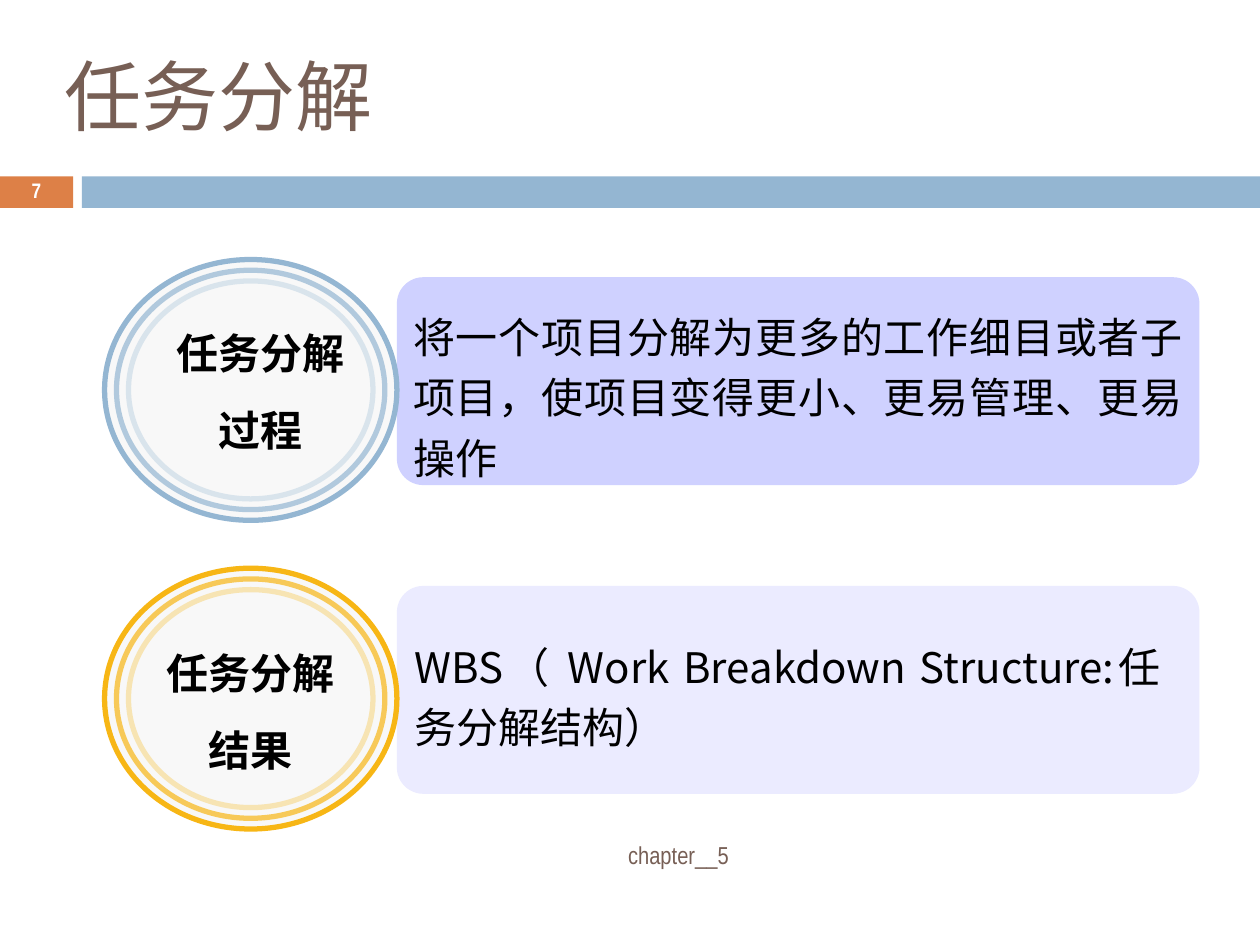
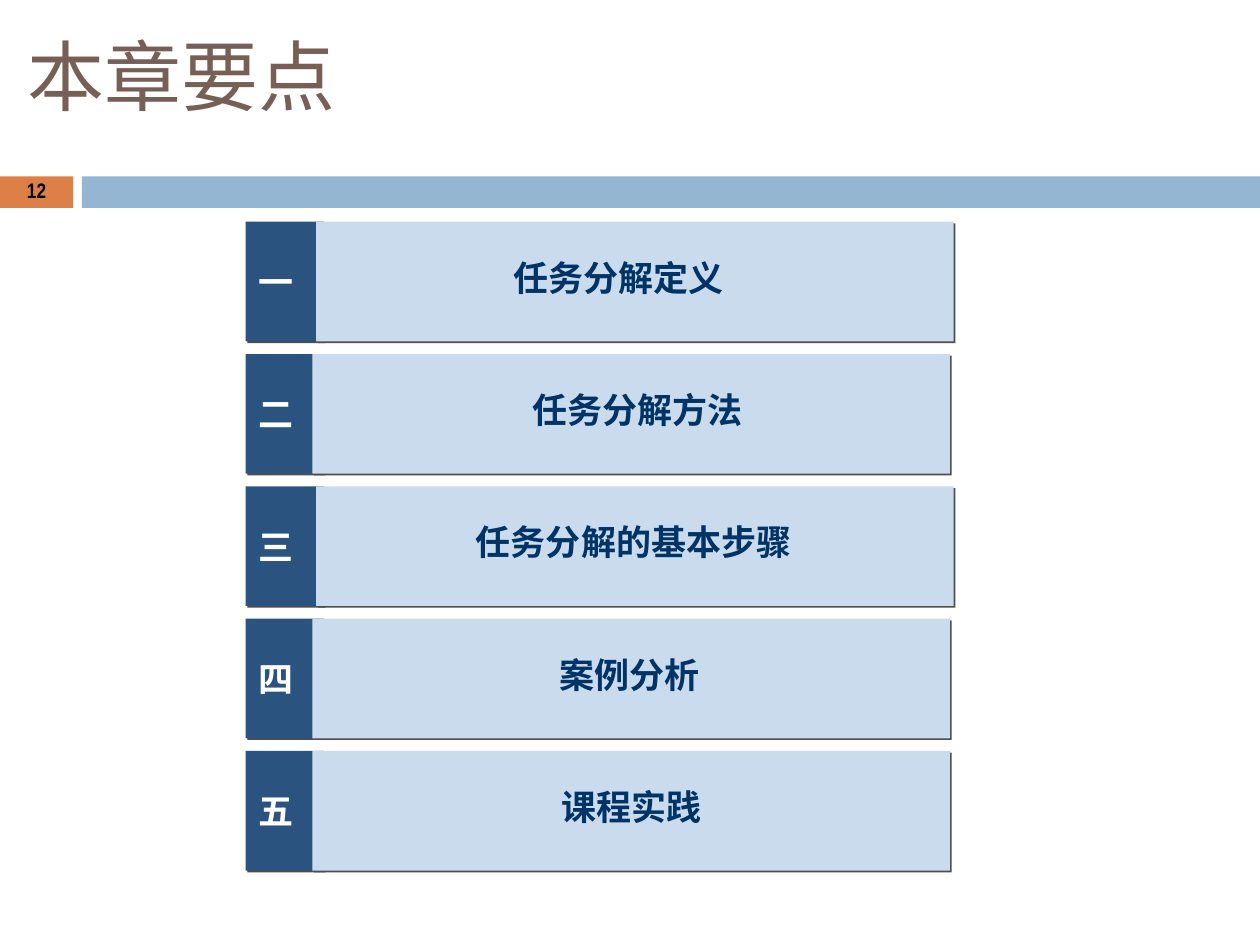
from lxml import etree
from pptx import Presentation
from pptx.dml.color import RGBColor
from pptx.enum.shapes import MSO_SHAPE
from pptx.enum.text import MSO_ANCHOR, PP_ALIGN
from pptx.oxml.ns import qn
from pptx.util import Inches, Pt

RECT, ROUND, OVAL = MSO_SHAPE.RECTANGLE, MSO_SHAPE.ROUNDED_RECTANGLE, MSO_SHAPE.OVAL
TOP, MIDDLE = MSO_ANCHOR.TOP, MSO_ANCHOR.MIDDLE
LEFT, CENTER, JUSTIFY = PP_ALIGN.LEFT, PP_ALIGN.CENTER, PP_ALIGN.JUSTIFY

# Content
FOOTER = "chapter__5"
TOPICS = [
    # panel top, ring colour, panel fill, name, name box, explanation, explanation box
    dict(top=2.2, ring="94B6D2", panel="CFD1FF",
         name=["任务分解", "过程"], name_box=(0.96, 2.55, 2.21, 1.11),
         meaning="将一个项目分解为更多的工作细目或者子项目，使项目变得更小、更易管理、更易操作",
         meaning_box=(3.18, 2.34, 6.31, 1.54)),
    dict(top=4.65, ring="F7B615", panel="EBEBFF",
         name=["任务分解", "结果"], name_box=(0.97, 5.09, 2.03, 1.11),
         meaning="WBS（ Work Breakdown Structure:任务分解结构）",
         meaning_box=(3.19, 4.96, 6.12, 1.06)),
]
AGENDA = [
    # numeral, heading, left of panel, centre of heading
    ("一", "任务分解定义", 2.51, 4.91),
    ("二", "任务分解方法", 2.48, 5.06),
    ("三", "任务分解的基本步骤", 2.51, 5.03),
    ("四", "案例分析", 2.48, 5.0),
    ("五", "课程实践", 2.48, 5.01),
]

# Shared look
WIDTH, HEIGHT = 10, 7.5
SANS, BODY, NARROW = "Noto Sans CJK SC", "Noto Sans CJK JP", "Arial Narrow"
BROWN, ORANGE, BLUE = "775F55", "DD8047", "94B6D2"
BLACK, WHITE, NAVY = "000000", "FFFFFF", "003366"
BAND_TOP, BAND_HEIGHT, NUMBER_WIDTH, BAND_LEFT = 1.4, 0.25, 0.58, 0.65

# Rings: size of the outer one, inset of each next one, opacity in percent
RING_LEFT, RING_WIDTH, RING_HEIGHT = 0.83, 2.32, 2.07
RING_INSET_X, RING_INSET_Y = 0.095, 0.085
RING_OPACITY = (100, 70, 30)
RING_RISE = 0.14

# Agenda rows
ROW_TOP, ROW_PITCH, ROW_HEIGHT = 1.76, 1.05, 0.95
TAB_LEFT, TAB_WIDTH, PANEL_WIDTH = 1.95, 0.62, 5.06
HEADING_WIDTH, HEADING_HEIGHT, HEADING_DROP = 4.8, 0.68, 0.1


def colour(value):
    return RGBColor.from_string(value)


def place(box):
    return [Inches(length) for length in box]


def add_shape(shapes, kind, box, fill=None, line=None):
    shape = shapes.add_shape(kind, *place(box))
    shape.shadow.inherit = False
    if fill:
        shape.fill.solid()
        shape.fill.fore_color.rgb = colour(fill)
    else:
        shape.fill.background()
    if line:
        shape.line.color.rgb = colour(line)
        shape.line.width = Pt(3)
    else:
        shape.line.fill.background()
    return shape


def set_opacity(line, percent):
    tint = line._ln.find(".//" + qn("a:srgbClr"))
    etree.SubElement(tint, qn("a:alpha"), val=str(percent * 1000))


def drop_shadow(shape):
    effects = shape._element.spPr.find(qn("a:effectLst"))
    shadow = etree.SubElement(effects, qn("a:outerShdw"), dist=str(Pt(1.4)),
                              dir="2700000", algn="ctr", rotWithShape="0")
    etree.SubElement(shadow, qn("a:srgbClr"), val="4D4D4D")


def write(shape, lines, size, font, tint, bold=False, align=LEFT, anchor=MIDDLE,
          wrap=True, spacing=None, before=0):
    frame = shape.text_frame
    frame.word_wrap = wrap
    frame.vertical_anchor = anchor
    frame.text = "\n".join(lines)
    for index, paragraph in enumerate(frame.paragraphs):
        paragraph.alignment = align
        if spacing:
            paragraph.line_spacing = spacing
        if index:
            paragraph.space_before = Pt(before)
        for run in paragraph.runs:
            run.font.size = Pt(size)
            run.font.bold = bold
            run.font.name = font
            run.font.color.rgb = colour(tint)
            latin = run._r.rPr.find(qn("a:latin"))
            latin.addnext(latin.makeelement(qn("a:ea"), {"typeface": font}))


def add_text(slide, box, lines, *args, **style):
    write(slide.shapes.add_textbox(*place(box)), lines, *args, **style)


def start_slide(deck, title, title_box, title_anchor, number, number_colour):
    slide = deck.slides.add_slide(deck.slide_layouts[6])
    add_shape(slide.shapes, RECT, (0, BAND_TOP, NUMBER_WIDTH, BAND_HEIGHT), ORANGE)
    add_shape(slide.shapes, RECT, (BAND_LEFT, BAND_TOP, WIDTH - BAND_LEFT, BAND_HEIGHT), BLUE)
    add_text(slide, title_box, [title], 44, SANS, BROWN, anchor=title_anchor)
    add_text(slide, (0, 1.39, NUMBER_WIDTH, 0.27), [number], 12, NARROW, number_colour,
             bold=True, align=CENTER, spacing=0.8)
    return slide


def add_rings(slide, top, tint):
    rings = slide.shapes.add_group_shape().shapes
    for step, opacity in enumerate(RING_OPACITY):
        dx, dy = step * RING_INSET_X, step * RING_INSET_Y
        box = (RING_LEFT + dx, top + dy, RING_WIDTH - 2 * dx, RING_HEIGHT - 2 * dy)
        ring = add_shape(rings, OVAL, box, None if step else "F8F8F8", tint)
        if opacity < 100:
            set_opacity(ring.line, opacity)


def build_topics(deck):
    slide = start_slide(deck, "任务分解", (0.41, 0.21, 8.92, 1.08), MIDDLE, "7", WHITE)
    add_text(slide, (2.42, 6.58, 5.93, 0.4), [FOOTER], 14, NARROW, BROWN, align=CENTER)
    for topic in TOPICS:
        panel = add_shape(slide.shapes, ROUND, (3.15, topic["top"], 6.37, 1.65), topic["panel"])
        panel.adjustments[0] = 0.127
        add_rings(slide, topic["top"] - RING_RISE, topic["ring"])
        add_text(slide, topic["name_box"], topic["name"], 24, SANS, BLACK, bold=True,
                 align=CENTER, anchor=TOP, before=15)
        add_text(slide, topic["meaning_box"], [topic["meaning"]], 24, BODY, BLACK,
                 align=JUSTIFY, anchor=TOP, spacing=1.2)


def build_agenda(deck):
    slide = start_slide(deck, "本章要点", (0.12, 0.18, 8.5, 1.25), TOP, "12", BLACK)
    for row, (numeral, heading, panel_left, centre) in enumerate(AGENDA):
        top = ROW_TOP + row * ROW_PITCH
        tab = add_shape(slide.shapes, RECT, (TAB_LEFT, top, TAB_WIDTH, ROW_HEIGHT), "2A5380")
        write(tab, [numeral], 20, SANS, WHITE, bold=True, wrap=False)
        panel = add_shape(slide.shapes, RECT, (panel_left, top, PANEL_WIDTH, ROW_HEIGHT), "CADBEE")
        for part in (tab, panel):
            drop_shadow(part)
        label = add_shape(slide.shapes, ROUND, (centre - HEADING_WIDTH / 2, top + HEADING_DROP,
                                                HEADING_WIDTH, HEADING_HEIGHT))
        write(label, [heading], 20, SANS, NAVY, bold=True, align=CENTER, wrap=False)


def main():
    deck = Presentation()
    deck.slide_width, deck.slide_height = Inches(WIDTH), Inches(HEIGHT)
    build_topics(deck)
    build_agenda(deck)
    deck.save("out.pptx")


if __name__ == "__main__":
    main()
